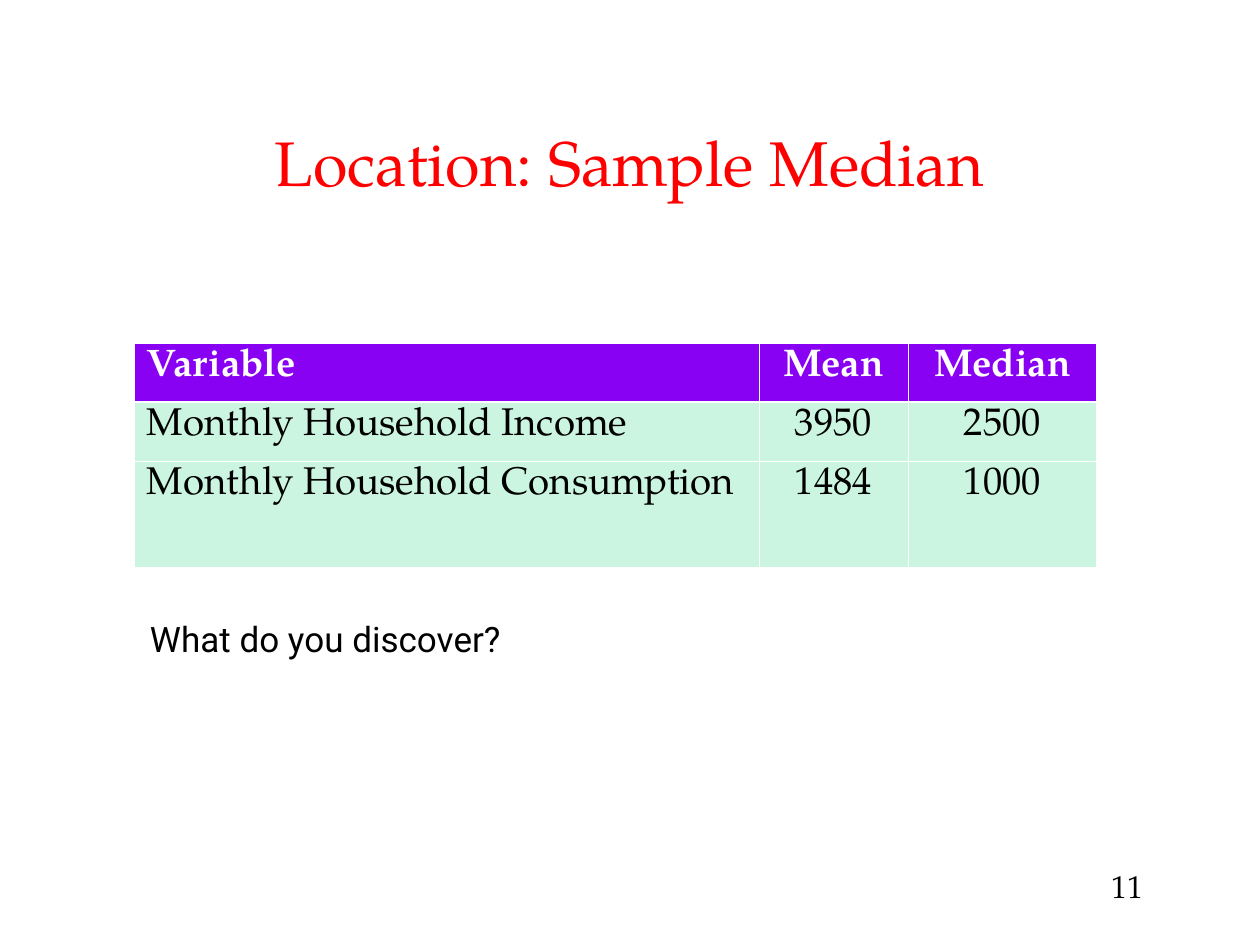
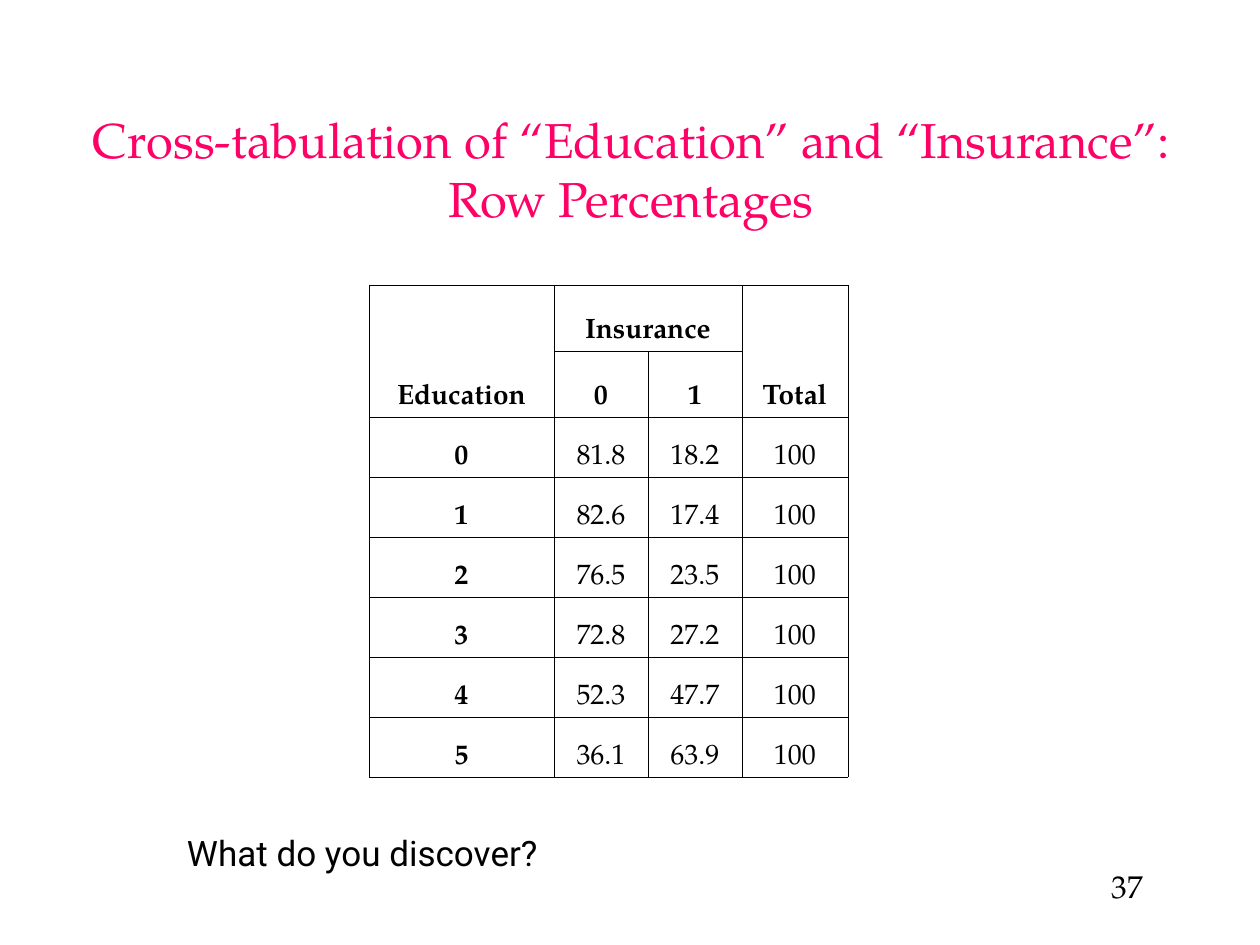
"""Build two statistics slides: sample median and an education-insurance cross-tabulation."""
from copy import deepcopy

from lxml import etree
from pptx import Presentation
from pptx.dml.color import RGBColor
from pptx.enum.text import MSO_ANCHOR, MSO_AUTO_SIZE, PP_ALIGN
from pptx.oxml.ns import qn
from pptx.util import Emu, Pt

LEFT, CENTER = PP_ALIGN.LEFT, PP_ALIGN.CENTER
TOP, BOTTOM = MSO_ANCHOR.TOP, MSO_ANCHOR.BOTTOM
NO_AUTOFIT = MSO_AUTO_SIZE.NONE

EMU_PER_PX = 914400 // 126
SERIF, SANS = "TeX Gyre Pagella", "Roboto"
TITLE_ONLY_LAYOUT = 5
COLORS = {
    "black": "000000",
    "white": "FFFFFF",
    "red": "FF0000",
    "pink": "FF0066",
    "purple": "8901F3",
    "mint": "CBF5E1",
}
QUESTION = "What do you discover?"
MEDIAN_ROWS = [
    ("Variable", "Mean", "Median"),
    ("Monthly Household Income", "3950", "2500"),
    ("Monthly Household Consumption", "1484", "1000"),
]
UNINSURED_INSURED = [
    ("81.8", "18.2"),
    ("82.6", "17.4"),
    ("76.5", "23.5"),
    ("72.8", "27.2"),
    ("52.3", "47.7"),
    ("36.1", "63.9"),
]


def px(length):
    return Emu(length * EMU_PER_PX)


def rgb(name):
    return RGBColor.from_string(COLORS[name])


def write_text(frame, text, size, font=SERIF, color="black", bold=False, align=LEFT):
    paragraph = frame.paragraphs[0]
    paragraph.text = text
    paragraph.alignment = align
    for run in paragraph.runs:
        run.font.name = font
        run.font.size = Pt(size)
        run.font.bold = bold
        run.font.color.rgb = rgb(color)
    for line_break in paragraph._p.findall(qn("a:br")):
        line_break.insert(0, deepcopy(paragraph.runs[0]._r.rPr))


def set_margins(holder, horizontal, vertical):
    holder.margin_left = holder.margin_right = px(horizontal)
    holder.margin_top = holder.margin_bottom = px(vertical)


def place_title(slide, text, box, size, color, margins):
    title = slide.shapes.title
    title.left, title.top, title.width, title.height = map(px, box)
    frame = title.text_frame
    frame.auto_size = NO_AUTOFIT
    frame.word_wrap = True
    frame.vertical_anchor = BOTTOM
    set_margins(frame, *margins)
    write_text(frame, text, size, color=color, align=CENTER)


def add_text_box(slide, text, box, size, font, indent=13):
    frame = slide.shapes.add_textbox(*map(px, box)).text_frame
    frame.word_wrap = True
    set_margins(frame, 13, 6)
    frame.margin_left = px(indent)
    write_text(frame, text, size, font=font)


def add_question(slide, left, top):
    add_text_box(slide, QUESTION, (left, top, 517, 55), 20, SANS)


def add_page_number(slide, number):
    add_text_box(slide, str(number), (1084, 861, 140, 58), 18, SERIF, indent=28)


def add_grid(slide, left, top, widths, heights):
    table = slide.shapes.add_table(
        len(heights), len(widths),
        px(left), px(top), px(sum(widths)), px(sum(heights)),
    ).table
    table.horz_banding = False
    for column, width in zip(table.columns, widths):
        column.width = px(width)
    for row, height in zip(table.rows, heights):
        row.height = px(height)
    return table


def set_borders(cell, color, **widths):
    properties = cell._tc.get_or_add_tcPr()
    for side in "LRTB":
        line = etree.SubElement(properties, qn(f"a:ln{side}"), w=str(Pt(widths[side])))
        fill = etree.SubElement(line, qn("a:solidFill"))
        etree.SubElement(fill, qn("a:srgbClr"), val=COLORS[color])


def fill_cell(cell, fill):
    if fill:
        cell.fill.solid()
        cell.fill.fore_color.rgb = rgb(fill)
    else:
        cell.fill.background()


def add_median_table(slide):
    table = add_grid(slide, 134, 343, (625, 149, 189), (59, 59, 106))
    for row, values in enumerate(MEDIAN_ROWS):
        header = row == 0
        for column, value in enumerate(values):
            cell = table.cell(row, column)
            set_margins(cell, 13, 6)
            cell.vertical_anchor = TOP
            set_borders(cell, "white", L=0.45, R=0.45,
                        T=1.47 if row == 1 else 0.45, B=1.47 if header else 0.45)
            fill_cell(cell, "purple" if header else "mint")
            write_text(cell.text_frame, value, 22, bold=header,
                       color="white" if header else "black",
                       align=CENTER if column else LEFT)


def add_cross_table(slide):
    rows = [("Education", "Insurance", "", "Total"), ("", "0", "1", "")]
    rows += [(str(level), *shares, "100") for level, shares in enumerate(UNINSURED_INSURED)]
    table = add_grid(slide, 369, 285, (185, 94, 94, 106), [66] * 2 + [60] * 6)
    for row, values in enumerate(rows):
        for column, value in enumerate(values):
            cell = table.cell(row, column)
            set_margins(cell, 5, 5)
            cell.vertical_anchor = BOTTOM
            set_borders(cell, "black", L=0.23, R=0.23, T=0.23, B=0.23)
            fill_cell(cell, None)
            write_text(cell.text_frame, value, 16, align=CENTER,
                       bold=row < 2 or column == 0)
    for start, end in (((0, 0), (1, 0)), ((0, 1), (0, 2)), ((0, 3), (1, 3))):
        table.cell(*start).merge(table.cell(*end))


def add_slide(presentation, number):
    slide = presentation.slides.add_slide(presentation.slide_layouts[TITLE_ONLY_LAYOUT])
    add_page_number(slide, number)
    return slide


def build_median_slide(presentation):
    slide = add_slide(presentation, 11)
    place_title(slide, "Location: Sample Median", (94, 87, 1071, 112), 36, "red", (0, 0))
    add_median_table(slide)
    add_question(slide, 137, 611)


def build_cross_slide(presentation):
    slide = add_slide(presentation, 37)
    add_cross_table(slide)
    place_title(slide, "Cross-tabulation of “Education” and “Insurance”:\vRow Percentages",
                (57, 76, 1148, 157), 28, "pink", (13, 6))
    add_question(slide, 174, 825)


def main():
    presentation = Presentation()
    presentation.slide_width, presentation.slide_height = px(1260), px(945)
    build_median_slide(presentation)
    build_cross_slide(presentation)
    presentation.save("out.pptx")


if __name__ == "__main__":
    main()
